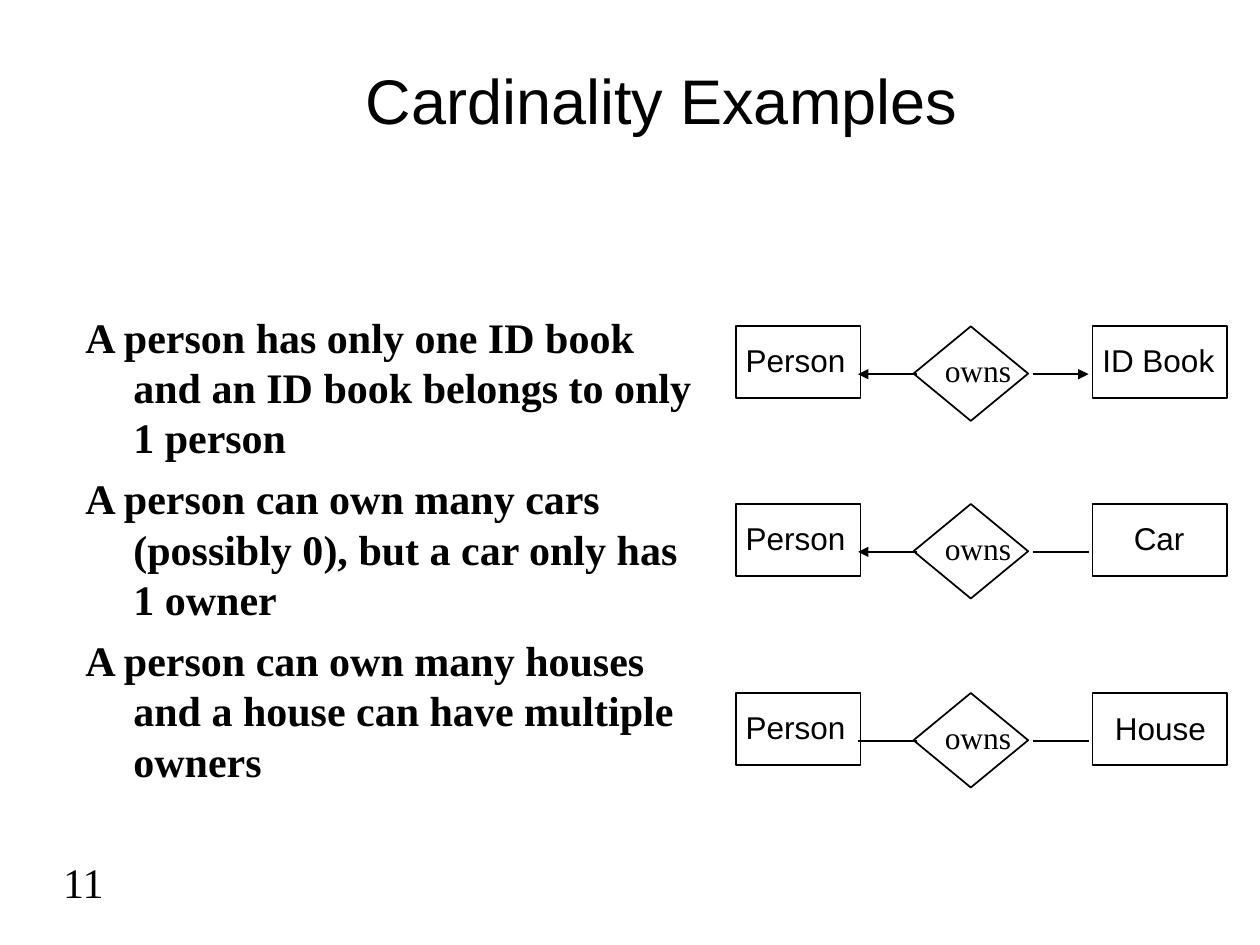
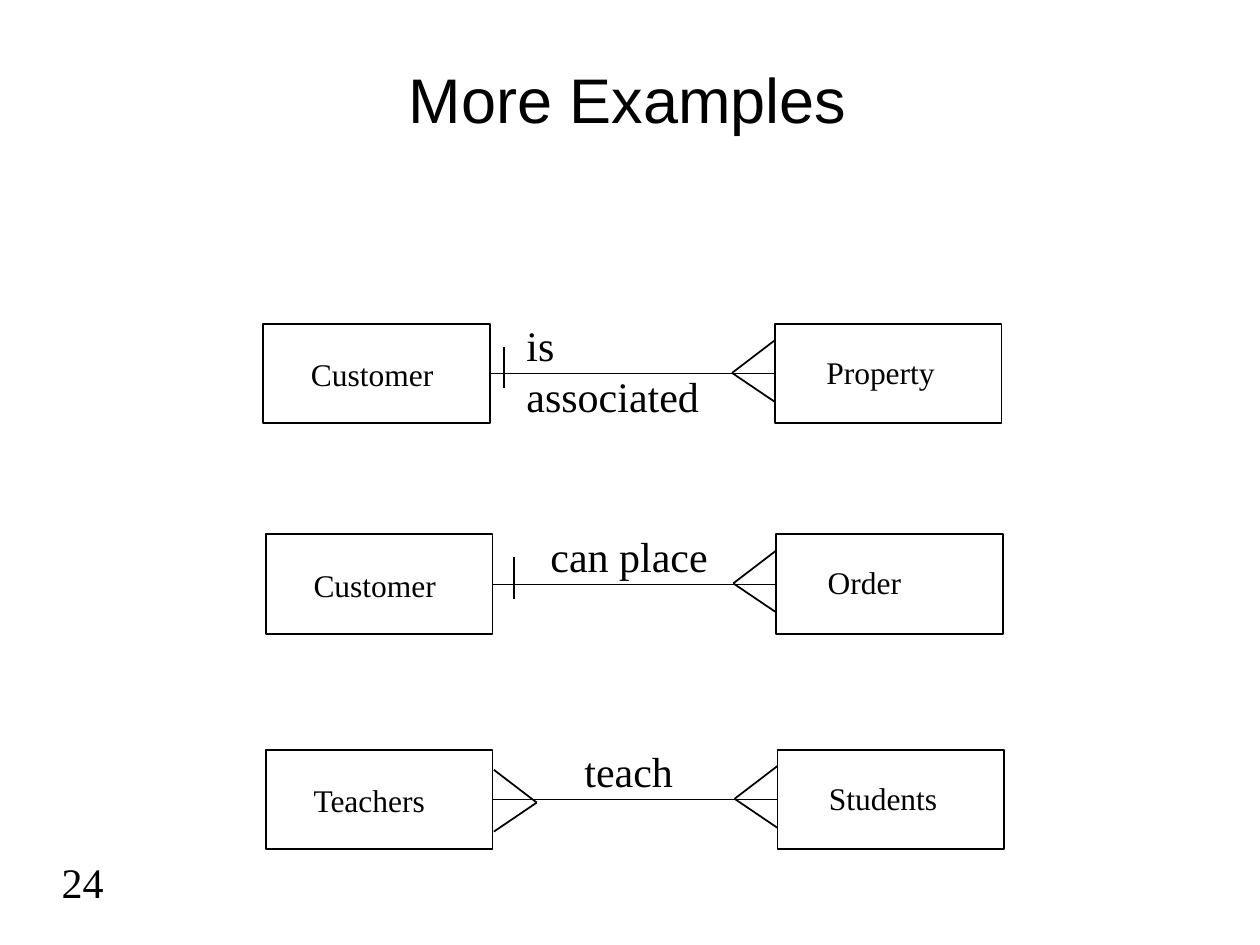
from pptx import Presentation
from pptx.dml.color import RGBColor
from pptx.enum.shapes import MSO_CONNECTOR, MSO_SHAPE
from pptx.enum.text import MSO_ANCHOR, PP_ALIGN
from pptx.oxml.ns import qn
from pptx.util import Inches, Pt
from lxml import etree

COLORS = {"ink": "000000", "paper": "FFFFFF"}
INK = RGBColor.from_string(COLORS["ink"])
PAPER = RGBColor.from_string(COLORS["paper"])
SANS, SERIF = "Arial", "Times New Roman"

prs = Presentation()
prs.slide_width, prs.slide_height = Inches(10), Inches(7.5)


def add_text(s, text, x, y, w, h, font=SERIF, size=18, wrap=False):
    tf = s.shapes.add_textbox(Inches(x), Inches(y), Inches(w), Inches(h)).text_frame
    tf.word_wrap = wrap
    tf.text = text
    for p in tf.paragraphs:
        p.font.name, p.font.size, p.font.color.rgb = font, Pt(size), INK
    return tf


def add_line(s, x1, y1, x2, y2, width=1, arrow=False):
    c = s.shapes.add_connector(MSO_CONNECTOR.STRAIGHT, Inches(x1), Inches(y1),
                               Inches(x2), Inches(y2))
    c.line.color.rgb, c.line.width = INK, Pt(width)
    if arrow:
        etree.SubElement(c.line._get_or_add_ln(), qn("a:tailEnd"), type="triangle")
    etree.SubElement(c._element.spPr, qn("a:effectLst"))
    return c


# Shared parts: titles and slide numbers
slides = []
for title, number, box, anchor in [
    ("Cardinality Examples", "11", (1, 0.33, 8.5, 0.92), MSO_ANCHOR.MIDDLE),
    ("More Examples", "24", (0.42, 0.25, 9.12, 0.88), MSO_ANCHOR.BOTTOM),
]:
    s = prs.slides.add_slide(prs.slide_layouts[5])
    sp = s.shapes.title
    sp.left, sp.top, sp.width, sp.height = [Inches(v) for v in box]
    tf = sp.text_frame
    tf.text, tf.vertical_anchor = title, anchor
    p = tf.paragraphs[0]
    p.alignment = PP_ALIGN.CENTER
    p.font.name, p.font.size, p.font.color.rgb = SANS, Pt(36), INK
    tf = add_text(s, number, 0.17, 6.75, 0.75, 0.5, size=24, wrap=True)
    tf.paragraphs[0].alignment = PP_ALIGN.RIGHT
    slides.append(s)
cardinality, more = slides

# Slide 1: explanations with hanging indents
rules = [
    "A person has only one ID book and an ID book belongs to only 1 person",
    "A person can own many cars (possibly 0), but a car only has 1 owner",
    "A person can own many houses and a house can have multiple owners",
]
tf = add_text(cardinality, "\n".join(rules), 0.58, 2.42, 5.08, 4, size=24, wrap=True)
for i, p in enumerate(tf.paragraphs):
    pPr = p._p.get_or_add_pPr()
    pPr.set("marL", str(Inches(0.38)))
    pPr.set("indent", str(-Inches(0.38)))
    p.font.bold = True
    p.line_spacing = Pt(28.8)
    if i:
        p.space_before = Pt(6)

# Slide 1: one relationship per row, arrows mark the "one" sides
for top, owned, label_x, label_w, label_dy, one_owner, one_owned in [
    (2.59, "ID Book", 8.65, 1.09, 0.07, True, True),
    (4, "Car", 8.9, 0.6, 0.07, True, False),
    (5.5, "House", 8.75, 0.92, 0.08, False, False),
]:
    for kind, x, w, h in [
        (MSO_SHAPE.RECTANGLE, 5.84, 0.99, 0.57),
        (MSO_SHAPE.RECTANGLE, 8.67, 1.07, 0.57),
        (MSO_SHAPE.DIAMOND, 7.25, 0.91, 0.75),
    ]:
        sp = cardinality.shapes.add_shape(kind, Inches(x), Inches(top), Inches(w), Inches(h))
        sp.shadow.inherit = False
        sp.fill.background()
        sp.line.color.rgb, sp.line.width = INK, Pt(1)
    add_text(cardinality, "Person", 5.82, top + 0.07, 0.99, 0.4, SANS)
    add_text(cardinality, owned, label_x, top + label_dy, label_w, 0.4, SANS)
    add_text(cardinality, "owns", 7.4, top + 0.15, 0.73, 0.4)
    mid = top + 0.38
    add_line(cardinality, 7.28, mid, 6.81, mid, arrow=one_owner)
    add_line(cardinality, 8.2, mid, 8.64, mid, arrow=one_owned)

# Slide 2: crow's-foot relationships; tick_x None means "many" on the left
for top, left_x, right_x, left, right, left_w, right_w, verb, verb_x, verb_w, tick_x in [
    (2.57, 2.09, 6.15, "Customer", "Property", 1.17, 1.06, "is associated", 4.08, 1.87, 4),
    (4.24, 2.11, 6.16, "Customer", "Order", 1.17, 0.78, "can place", 4.27, 1.45, 4.08),
    (5.95, 2.11, 6.17, "Teachers", "Students", 1.1, 1.06, "teach", 4.54, 0.9, None),
]:
    entities = []
    for x in (left_x, right_x):
        sp = more.shapes.add_shape(MSO_SHAPE.RECTANGLE, Inches(x), Inches(top),
                                   Inches(1.8), Inches(0.79))
        sp.shadow.inherit = False
        sp.fill.solid()
        sp.fill.fore_color.rgb = PAPER
        sp.line.color.rgb, sp.line.width = INK, Pt(1)
        entities.append(sp)
    mid = top + 0.39
    link = add_line(more, left_x + 1.8, mid, right_x, mid, 0.25 if tick_x else 1)
    link.begin_connect(entities[0], 3)
    link.end_connect(entities[1], 1)

    # Feet: entity side, tip and height of the tip
    feet = [(right_x, right_x - 0.34, mid)]
    if tick_x:
        add_line(more, tick_x, mid + 0.12, tick_x, mid - 0.21, 0.75)
    else:
        feet.append((left_x + 1.81, left_x + 2.15, mid + 0.03))
    for side, tip, y in feet:
        add_line(more, side, y - 0.26, tip, y)
        add_line(more, tip, y, side, y + 0.23)

    add_text(more, left, left_x + 0.28, top + 0.2, left_w, 0.4)
    add_text(more, right, right_x + 0.31, top + 0.18, right_w, 0.4)
    add_text(more, verb, verb_x, top - 0.08, verb_w, 0.5, size=24)

prs.save("out.pptx")
